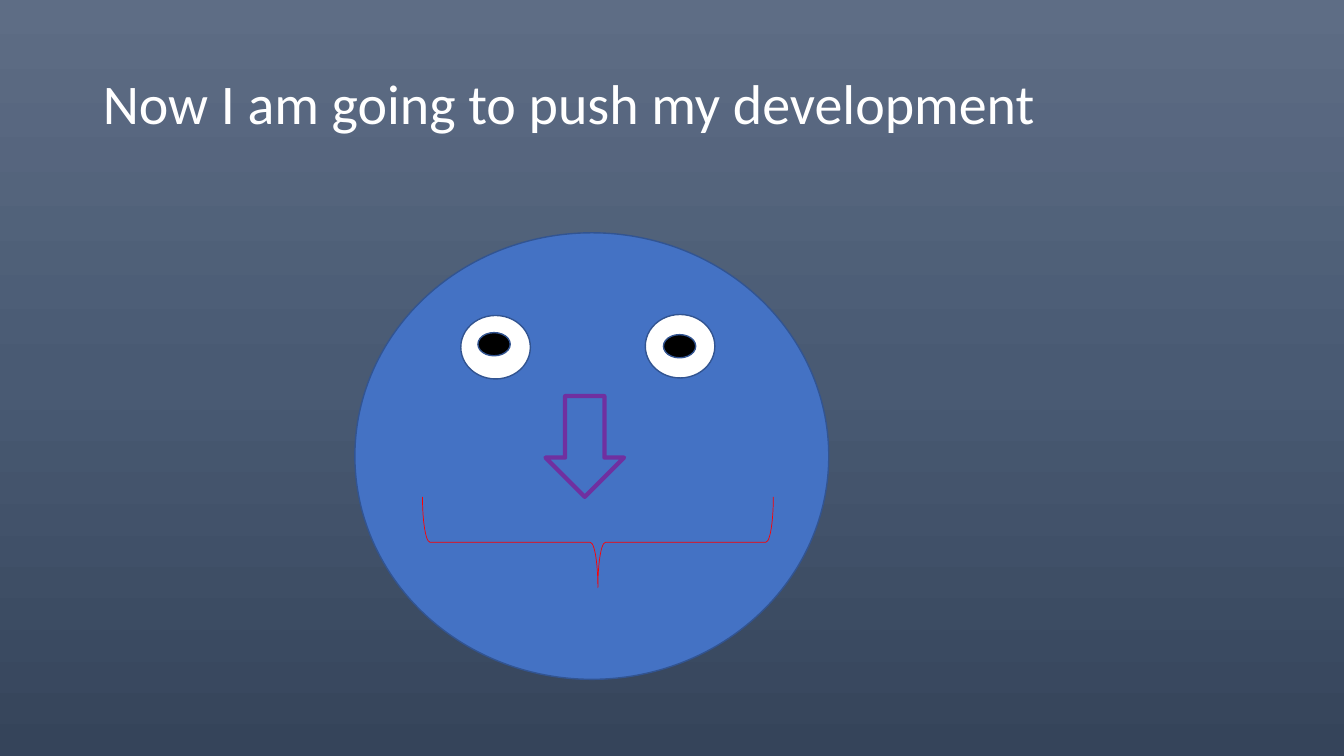
from copy import deepcopy

from pptx import Presentation
from pptx import util as u
from pptx.dml import color
from pptx.enum import shapes, text

COLORS = {
    "sky_top": "5E6D85", "sky_middle": "495A73", "sky_bottom": "35445A",
    "face": "4472C4", "outline": "325491", "mouth": "FF0000", "nose": "7030A0",
    "white": "FFFFFF", "black": "000000",
}
PRESET = shapes.MSO_SHAPE


def rgb(name):
    return color.RGBColor.from_string(COLORS[name])


def write(frame, words, size=40, font="Calibri", ink="white", spacing=0.9):
    frame.text = words
    paragraph = frame.paragraphs[0]
    paragraph.alignment = text.PP_ALIGN.LEFT
    paragraph.line_spacing = spacing
    paragraph.font.size = u.Pt(size)
    paragraph.font.name = font
    paragraph.font.color.rgb = rgb(ink)


class FaceSlide:
    def __init__(self, deck):
        self.slide = deck.slides.add_slide(deck.slide_layouts[5])
        self.face = None

    def background(self, *names):
        """Spread the named colours evenly from top to bottom."""
        fill = self.slide.background.fill
        fill.gradient()
        fill.gradient_angle = 270
        stop_list = self.slide.element.xpath(".//p:bg//a:gsLst")[0]
        while len(stop_list) < len(names):
            stop_list.append(deepcopy(stop_list[0]))
        for i, (stop, name) in enumerate(zip(fill.gradient_stops, names)):
            stop.position = i / (len(names) - 1)
            stop.color.rgb = rgb(name)

    def title(self, words, left, top, width, height):
        heading = self.slide.shapes.title
        heading.left, heading.top = u.Inches(left), u.Inches(top)
        heading.width, heading.height = u.Inches(width), u.Inches(height)
        frame = heading.text_frame
        frame.word_wrap = True
        frame.auto_size = text.MSO_AUTO_SIZE.NONE
        frame.vertical_anchor = text.MSO_ANCHOR.MIDDLE
        write(frame, words)

    def feature(self, preset, left, top, width, height, fill=None,
                line="outline", weight=1, rotation=0):
        """Add one part of the face to its group."""
        if self.face is None:
            self.face = self.slide.shapes.add_group_shape()
        part = self.face.shapes.add_shape(
            preset, u.Inches(left), u.Inches(top), u.Inches(width), u.Inches(height))
        part.shadow.inherit = False
        part.rotation = rotation
        if fill:
            part.fill.solid()
            part.fill.fore_color.rgb = rgb(fill)
        else:
            part.fill.background()
        part.line.color.rgb = rgb(line)
        part.line.width = u.Pt(weight)


def main():
    deck = Presentation()
    deck.slide_width, deck.slide_height = u.Inches(13.33), u.Inches(7.5)
    page = FaceSlide(deck)

    page.background("sky_top", "sky_middle", "sky_bottom")
    page.title("Now I am going to push my development", 0.92, 0.4, 11.5, 1.31)

    # Head and mouth
    page.feature(PRESET.OVAL, 3.52, 2.31, 4.7, 4.43, fill="face")
    page.feature(PRESET.LEFT_BRACE, 5.48, 3.64, 0.9, 3.48,
                 line="mouth", weight=0.5, rotation=270)

    # Eyes, then pupils
    for left, top in ((4.57, 3.13), (6.4, 3.12)):
        page.feature(PRESET.OVAL, left, top, 0.69, 0.63, fill="white")
    for left, top in ((4.74, 3.3), (6.58, 3.32)):
        page.feature(PRESET.OVAL, left, top, 0.32, 0.23, fill="black")

    # Nose
    page.feature(PRESET.DOWN_ARROW, 5.41, 3.93, 0.78, 1,
                 fill="face", line="nose", weight=3)

    deck.save("out.pptx")


if __name__ == "__main__":
    main()
